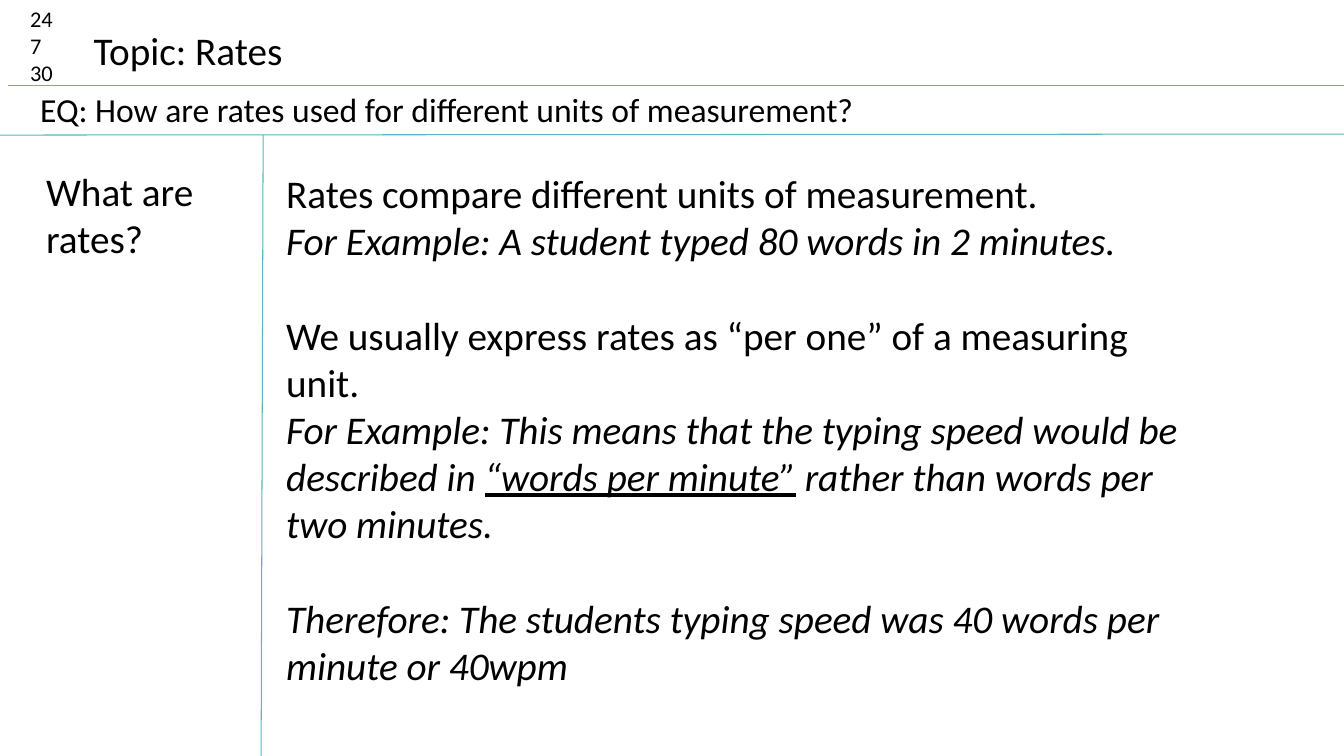
import pptx
import pptx.util
import pptx.dml.color
import pptx.enum.shapes
from lxml import etree

Inches, Pt = pptx.util.Inches, pptx.util.Pt

FONT = "Calibri"
COLORS = {"ink": "000000", "rule": "58B6C0"}
WIDE, HIGH = 13.33, 7.5

# Rules: start x, y, end x, y
RULES = [
    (0.08, 0.85, WIDE, 0.85),
    (0, 1.34, WIDE, 1.33),
    (2.61, 1.34, 2.59, HIGH),
]

# A run is (text, style); a paragraph is (runs, gap before in lines)
NOTES = [
    ([("Rates compare different units of measurement.", "")], 0),
    ([("For Example: A student typed 80 words in 2 minutes.", "i")], 0),
    ([("We usually express rates as “per one” of a measuring unit.", "")], 1),
    ([("For Example: This means that the typing speed would be described in ", "i"),
      ("“words per minute”", "iu"),
      (" rather than words per two minutes.", "i")], 0),
    ([("Therefore: The students typing speed was 40 words per minute or 40wpm", "i")], 1),
]

# Boxes: left, top, width, height, size, paragraphs
BOXES = [
    (0.2, 0, 0.63, 0.91, 16, [([(num, "")], 0) for num in ("24", "7", "30")]),
    (0.83, 0.21, 2.1, 0.57, 28, [([("Topic: Rates", "")], 0)]),
    (0.3, 0.83, 11.64, 0.5, 24,
     [([("EQ: How are rates used for different units of measurement?", "")], 0)]),
    (0.36, 1.61, 2.24, 1.38, 28, [([("What are rates?", "")], 0)]),
    (2.74, 1.63, 9.13, 5.28, 28, NOTES),
]
LINE = 1.2  # line height as a share of the font size


def color(name):
    return pptx.dml.color.RGBColor.from_string(COLORS[name])


def add_rule(slide, x1, y1, x2, y2):
    rule = slide.shapes.add_connector(
        pptx.enum.shapes.MSO_CONNECTOR.STRAIGHT,
        Inches(x1), Inches(y1), Inches(x2), Inches(y2))
    rule.line.color.rgb = color("rule")
    rule.line.width = Pt(0.75)
    etree.SubElement(rule._element.spPr, pptx.oxml.ns.qn("a:effectLst"))


def add_text(slide, left, top, width, height, size, paras):
    box = slide.shapes.add_textbox(
        Inches(left), Inches(top), Inches(width), Inches(height))
    frame = box.text_frame
    frame.word_wrap = True
    for i, (runs, gap) in enumerate(paras):
        para = frame.paragraphs[0] if i == 0 else frame.add_paragraph()
        if gap:
            para.space_before = Pt(round(gap * LINE * size))
        font = para.font
        font.name, font.size = FONT, Pt(size)
        font.color.rgb = color("ink")
        font.italic = all("i" in style for text, style in runs)
        for text, style in runs:
            run = para.add_run()
            run.text = text
            if "u" in style:
                run.font.underline = True


def main():
    deck = pptx.Presentation()
    deck.slide_width, deck.slide_height = Inches(WIDE), Inches(HIGH)
    slide = deck.slides.add_slide(deck.slide_layouts[6])
    # Page rules
    for rule in RULES:
        add_rule(slide, *rule)
    # Headings and notes
    for box in BOXES:
        add_text(slide, *box)
    deck.save("out.pptx")


if __name__ == "__main__":
    main()
